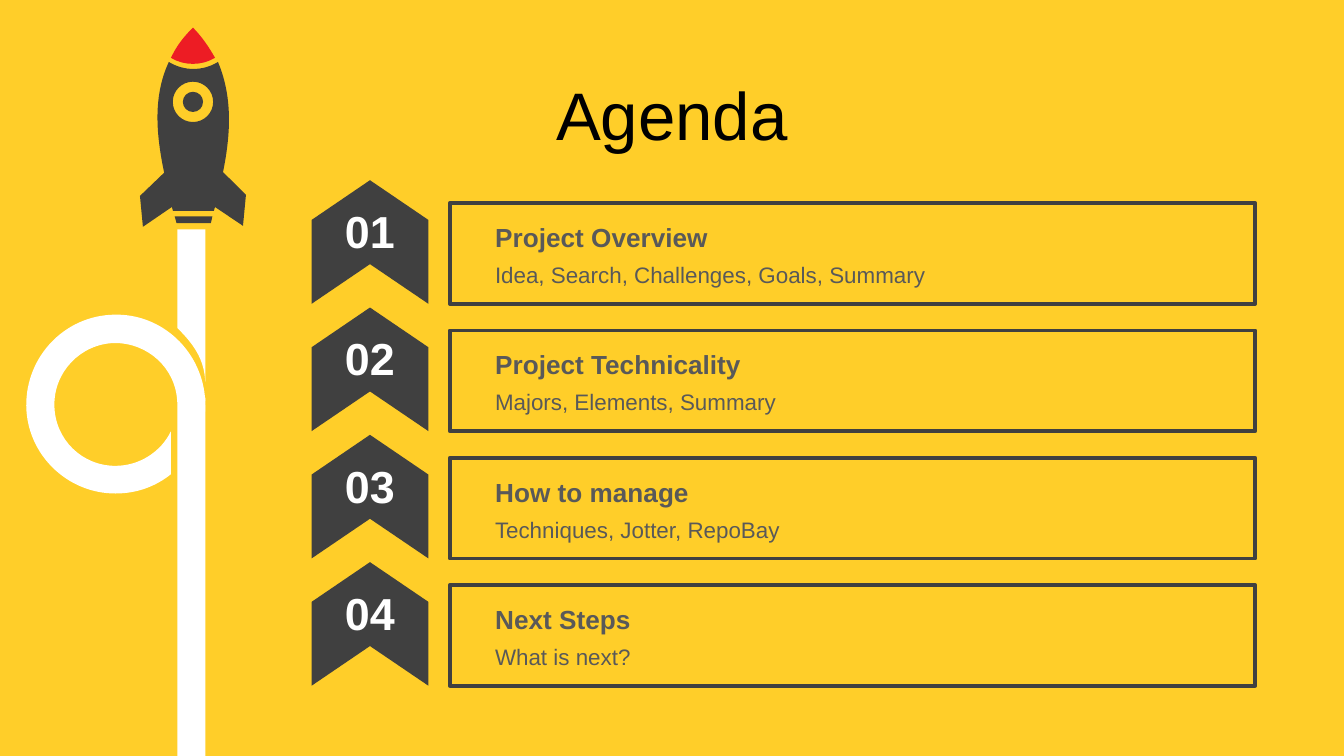
from dataclasses import dataclass

from pptx import Presentation
from pptx.dml.color import RGBColor
from pptx.enum import shapes, text
from pptx.oxml import ns
from pptx.util import Pt


@dataclass(frozen=True)
class Theme:
    font: str = "Arial"
    yellow: str = "FFCE29"
    dark: str = "404040"
    grey: str = "595959"
    white: str = "FFFFFF"
    black: str = "000000"
    red: str = "ED1C24"
    title_size: int = 36
    number_size: int = 24
    heading_size: int = 14
    detail_size: int = 12


theme = Theme()
kinds = shapes.MSO_SHAPE
align = text.PP_ALIGN
anchor = text.MSO_ANCHOR
fit = text.MSO_AUTO_SIZE

presentation = Presentation()
presentation.slide_width, presentation.slide_height = Pt(720), Pt(405)
slide = presentation.slides.add_slide(presentation.slide_layouts[5])
slide.background.fill.solid()
slide.background.fill.fore_color.rgb = RGBColor.from_string(theme.yellow)


def add_shape(kind, box, fill=None, line=None):
    shape = slide.shapes.add_shape(kind, *map(Pt, box))
    shape.shadow.inherit = False
    shape.fill.background()
    shape.line.fill.background()
    if fill:
        shape.fill.solid()
        shape.fill.fore_color.rgb = RGBColor.from_string(fill)
    if line:
        shape.line.color.rgb = RGBColor.from_string(line)
        shape.line.width = Pt(2)
    return shape


def write(shape, words, size, color, bold=False, alignment=align.LEFT,
          vertical=anchor.TOP, auto_size=fit.SHAPE_TO_FIT_TEXT):
    frame = shape.text_frame
    frame.text = words
    frame.word_wrap = True
    frame.auto_size = auto_size
    frame.vertical_anchor = vertical
    paragraph = frame.paragraphs[0]
    paragraph.alignment = alignment
    font = paragraph.runs[0].font
    font.name, font.size, font.bold = theme.font, Pt(size), bold
    font.color.rgb = RGBColor.from_string(color)


title = slide.shapes.title
title.left, title.top, title.width, title.height = Pt(0), Pt(38.2), Pt(720), Pt(45.4)
write(title, "Agenda", theme.title_size, theme.black, False,
      align.CENTER, anchor.MIDDLE, fit.NONE)

# Rocket and trail: a pair is a corner, six numbers are a Bezier curve.
coil_overlap = [(106.6, 217.4), (110, 217.4), (110, 223.2, 108.7, 229, 106.6, 234.7)]
coil = [
    (61, 168.6), (87.1, 167.8, 108.7, 188.6, 110, 214.8),
    (95, 215.3), (94.3, 197.3, 79.2, 183.6, 61.2, 183.8),
    (43.2, 184.3, 28.8, 199.4, 29.2, 217.4),
    (29.5, 235.4, 43.9, 249.6, 61.9, 249.6),
    (74.9, 249.6, 86.4, 241.9, 91.6, 231.1),
    (91.6, 254.1), (83.5, 260.6, 73.4, 264.4, 61.9, 264.4),
    (36, 264.4, 14.4, 243.4, 14.1, 217.4),
    (13.9, 191, 34.6, 169.2, 61, 168.6),
]
upper_trail = [
    (95, 122.9), (110, 122.9), (110, 150.2, 110, 177.5, 110, 204.5),
    (109.4, 192.2, 103.7, 184.3, 95, 175.7), (95, 122.9),
]
nozzle = [
    (93.6, 115.9), (113.8, 115.9), (113.6, 117.1, 113.3, 118.3, 113, 119.5), (94.6, 119.5),
]
body = [
    (90.5, 33.2), (98.6, 38.2, 108.7, 38.2, 116.8, 33.2),
    (125.3, 53.3, 123.1, 74.2, 119.5, 92.2),
    (131.8, 104.4), (130.2, 121), (115.2, 110.9), (114.6, 113),
    (92.7, 113), (92.5, 112.3, 92.3, 111.6, 92.1, 110.9),
    (76.6, 121.5), (75, 105), (87.9, 92.6), (87.9, 92.5), (87.9, 92.2),
    (84.2, 74.2, 81.4, 52.6, 90.5, 33.2),
]
window_x, window_y = 103.4, 54.6
pupil, window = (
    [(window_x, window_y - r),
     (window_x + k, window_y - r, window_x + r, window_y - k, window_x + r, window_y),
     (window_x + r, window_y + k, window_x + k, window_y + r, window_x, window_y + r),
     (window_x - k, window_y + r, window_x - r, window_y + k, window_x - r, window_y),
     (window_x - r, window_y - k, window_x - k, window_y - r, window_x, window_y - r)]
    for r, k in ((5.4, 2.98), (10.8, 5.96))
)
nose = [
    (103.4, 14.8), (108.7, 20.2, 112.3, 25.9, 115.2, 31),
    (108, 35.3, 98.6, 35.3, 91.6, 31),
    (94.3, 25.2, 97.9, 20.2, 103.4, 14.8),
]
outlines = [
    ([coil_overlap, coil], theme.white),
    ([upper_trail], theme.white),
    ([nozzle, pupil, window, body], theme.dark),
    ([nose], theme.red),
]
for contours, color in outlines:
    builder = None
    for contour in contours:
        start, *points = [
            (Pt(segment[i]), Pt(segment[i + 1]))
            for segment in contour for i in range(0, len(segment), 2)
        ]
        if builder is None:
            builder = slide.shapes.build_freeform(*start)
        else:
            builder.move_to(*start)
        builder.add_line_segments(points, close=True)
    outline = builder.convert_to_shape()
    outline.shadow.inherit = False
    outline.fill.solid()
    outline.fill.fore_color.rgb = RGBColor.from_string(color)
    outline.line.fill.background()

    # Join each curve's three line steps into one cubic segment.
    steps = iter(list(outline.element.iter(ns.qn("a:lnTo"))))
    for contour in contours:
        for segment in contour[1:]:
            curve = next(steps)
            if len(segment) == 6:
                curve.tag = ns.qn("a:cubicBezTo")
                for step in (next(steps), next(steps)):
                    curve.append(step[0])
                    step.getparent().remove(step)

add_shape(kinds.RECTANGLE, (95, 213, 15, 192), fill=theme.white)

agenda = [
    ("Project Overview", "Idea, Search, Challenges, Goals, Summary"),
    ("Project Technicality", "Majors, Elements, Summary"),
    ("How to manage", "Techniques, Jotter, RepoBay"),
    ("Next Steps", "What is next?"),
]
row_pitch = 68.2
for index, (heading, detail) in enumerate(agenda):
    top = 108.8 + index * row_pitch
    add_shape(kinds.RECTANGLE, (241, top, 431.5, 54), line=theme.dark)

    heading_box = add_shape(kinds.ROUND_2_SAME_RECTANGLE, (257, top + 5.1, 396.7, 25.2))
    write(heading_box, heading, theme.heading_size, theme.grey, True)
    detail_box = add_shape(kinds.ROUND_2_SAME_RECTANGLE, (257, top + 26.4, 396.7, 23))
    write(detail_box, detail, theme.detail_size, theme.grey)
    slide.shapes.add_group_shape([heading_box, detail_box])

    chevron = add_shape(kinds.CHEVRON, (165.1, top - 10.4, 66.2, 62.5), fill=theme.dark)
    chevron.adjustments[0] = 0.34
    chevron.rotation = 270

    number_box = slide.shapes.add_textbox(Pt(176.2), Pt(top - 3.2), Pt(44), Pt(36))
    write(number_box, f"{index + 1:02}", theme.number_size, theme.white, True, align.CENTER)

presentation.save("out.pptx")
